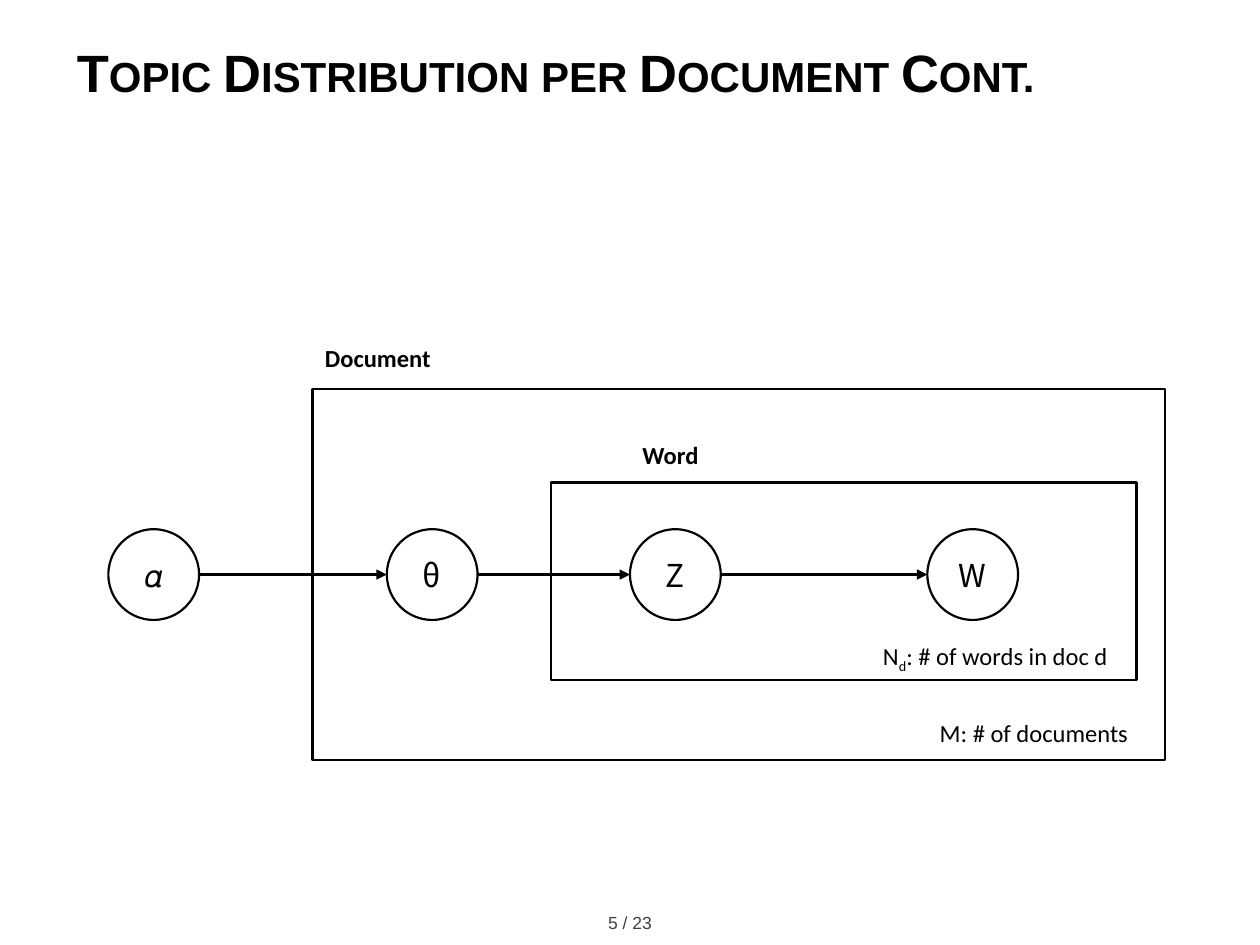
import pptx
import pptx.dml.color
import pptx.enum.shapes
import pptx.enum.text
import pptx.oxml
import pptx.oxml.ns
import pptx.util

COLORS = {"ink": "000000", "paper": "FFFFFF", "footer": "404040"}
CELL = 0.1  # inches; the slide is 100 columns by 75 rows
NODE_SIZE = 7.2
NODE_TOP = 42
NODES = {"𝛼": 8.6, "θ": 30.7, "Z": 50, "W": 73.6}
SHAPES = pptx.enum.shapes.MSO_SHAPE
ALIGN = pptx.enum.text.PP_ALIGN
ANCHOR = pptx.enum.text.MSO_ANCHOR


def grid(*cells):
    """Turn grid cells into lengths."""
    return [pptx.util.Inches(cell * CELL) for cell in cells]


def rgb(name):
    return pptx.dml.color.RGBColor.from_string(COLORS[name])


class DiagramSlide:
    def __init__(self, presentation):
        self.slide = presentation.slides.add_slide(presentation.slide_layouts[5])
        self.shapes = self.slide.shapes

    def format(self, paragraph, size, font="Calibri", bold=False, color="ink", align=ALIGN.LEFT):
        paragraph.alignment = align
        paragraph.font.name = font
        paragraph.font.size = pptx.util.Pt(size)
        paragraph.font.bold = bold
        paragraph.font.color.rgb = rgb(color)

    def title(self, text, *box):
        title = self.shapes.title
        title.left, title.top, title.width, title.height = grid(*box)
        frame = title.text_frame
        frame.auto_size = pptx.enum.text.MSO_AUTO_SIZE.NONE
        frame.vertical_anchor = ANCHOR.MIDDLE
        paragraph = frame.paragraphs[0]
        run = paragraph.add_run()
        run.text = text
        run._r.get_or_add_rPr().set("cap", "small")
        self.format(paragraph, 30, "Arial", bold=True)

    def label(self, parts, *box, size=14, **style):
        """Add a text box; every second part is a subscript."""
        text_box = self.shapes.add_textbox(*grid(*box))
        text_box.text_frame.word_wrap = True
        paragraph = text_box.text_frame.paragraphs[0]
        for index, text in enumerate(parts):
            run = paragraph.add_run()
            run.text = text
            if index % 2:
                run._r.get_or_add_rPr().set("baseline", "-25000")
        self.format(paragraph, size, **style)

    def outline(self, kind, *box):
        shape = self.shapes.add_shape(kind, *grid(*box))
        shape.shadow.inherit = False
        shape.fill.solid()
        shape.fill.fore_color.rgb = rgb("paper")
        shape.line.color.rgb = rgb("ink")
        shape.line.width = pptx.util.Pt(1.25)
        return shape

    def node(self, symbol, left):
        node = self.outline(SHAPES.OVAL, left, NODE_TOP, NODE_SIZE, NODE_SIZE)
        node.text_frame.vertical_anchor = ANCHOR.MIDDLE
        paragraph = node.text_frame.paragraphs[0]
        paragraph.text = symbol
        self.format(paragraph, 18, "Noto Sans CJK KR", align=ALIGN.CENTER)

    def arrow(self, start, end):
        """Join two columns along the middle of the nodes."""
        middle = NODE_TOP + NODE_SIZE / 2
        arrow = self.shapes.add_connector(
            pptx.enum.shapes.MSO_CONNECTOR.STRAIGHT, *grid(start, middle, end, middle))
        arrow.line.color.rgb = rgb("ink")
        arrow.line.width = pptx.util.Pt(1.5)
        namespace = pptx.oxml.ns.nsdecls("a")
        arrow.line._get_or_add_ln().append(
            pptx.oxml.parse_xml(f'<a:tailEnd {namespace} type="triangle"/>'))
        arrow._element.spPr.append(pptx.oxml.parse_xml(f"<a:effectLst {namespace}/>"))


def main():
    presentation = pptx.Presentation()
    presentation.slide_width, presentation.slide_height = grid(100, 75)
    diagram = DiagramSlide(presentation)

    diagram.title("Topic Distribution per Document Cont.", 5.1, 1.3, 92.9, 8.7)
    diagram.label(["5 / 23"], 0, 71.9, 100, 2.7, size=10, font="Arial",
                  color="footer", align=ALIGN.CENTER)

    diagram.outline(SHAPES.RECTANGLE, 24.8, 30.9, 67.7, 29.4)
    diagram.outline(SHAPES.RECTANGLE, 43.7, 38.3, 46.5, 15.7)
    diagram.label(["Document"], 24.8, 26.7, 11.8, 3.4, bold=True)
    diagram.label(["Word"], 50, 34.4, 7, 3.4, bold=True)
    diagram.label(["M: # of documents"], 73.6, 56.5, 18.5, 3.4)
    diagram.label(["N", "d", ": # of words in doc d"], 69.1, 50.4, 20.7, 3.4)

    for symbol, left in NODES.items():
        diagram.node(symbol, left)
    columns = list(NODES.values())
    for source, target in zip(columns, columns[1:]):
        diagram.arrow(source + NODE_SIZE, target)

    presentation.save("out.pptx")


if __name__ == "__main__":
    main()
